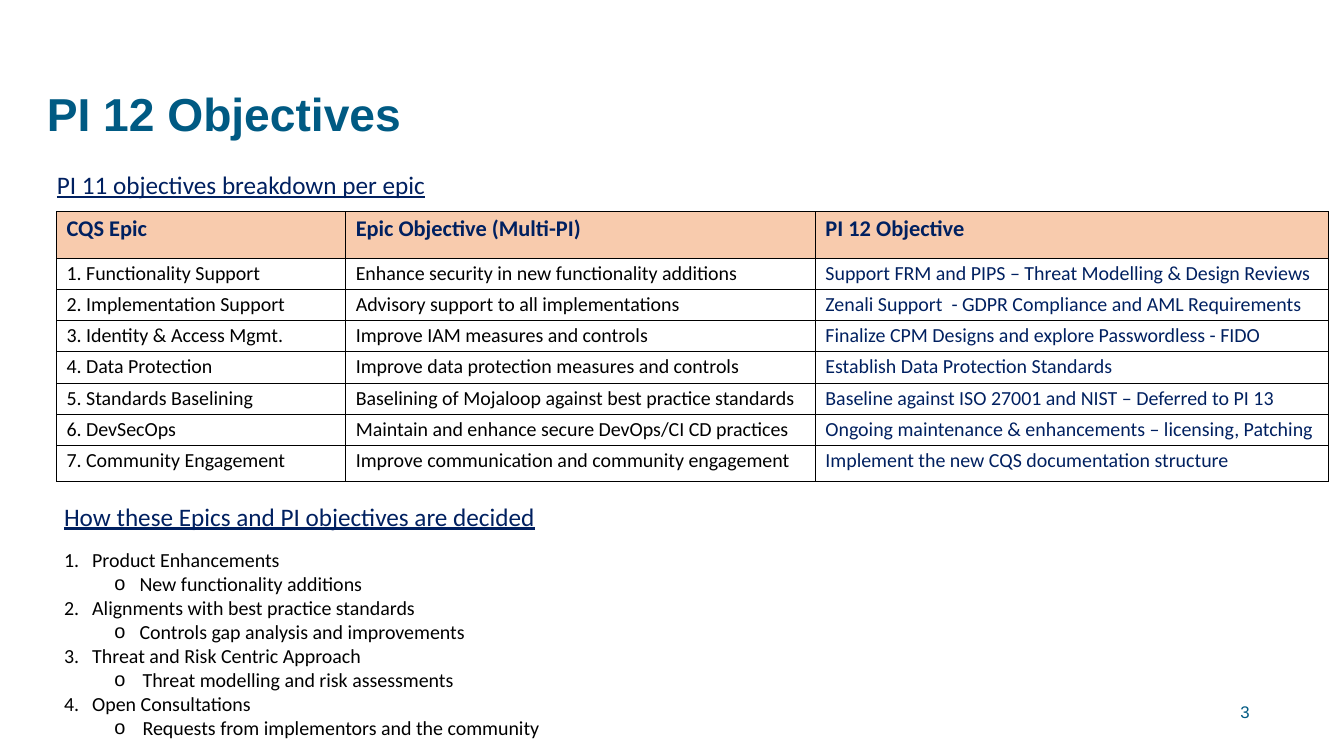
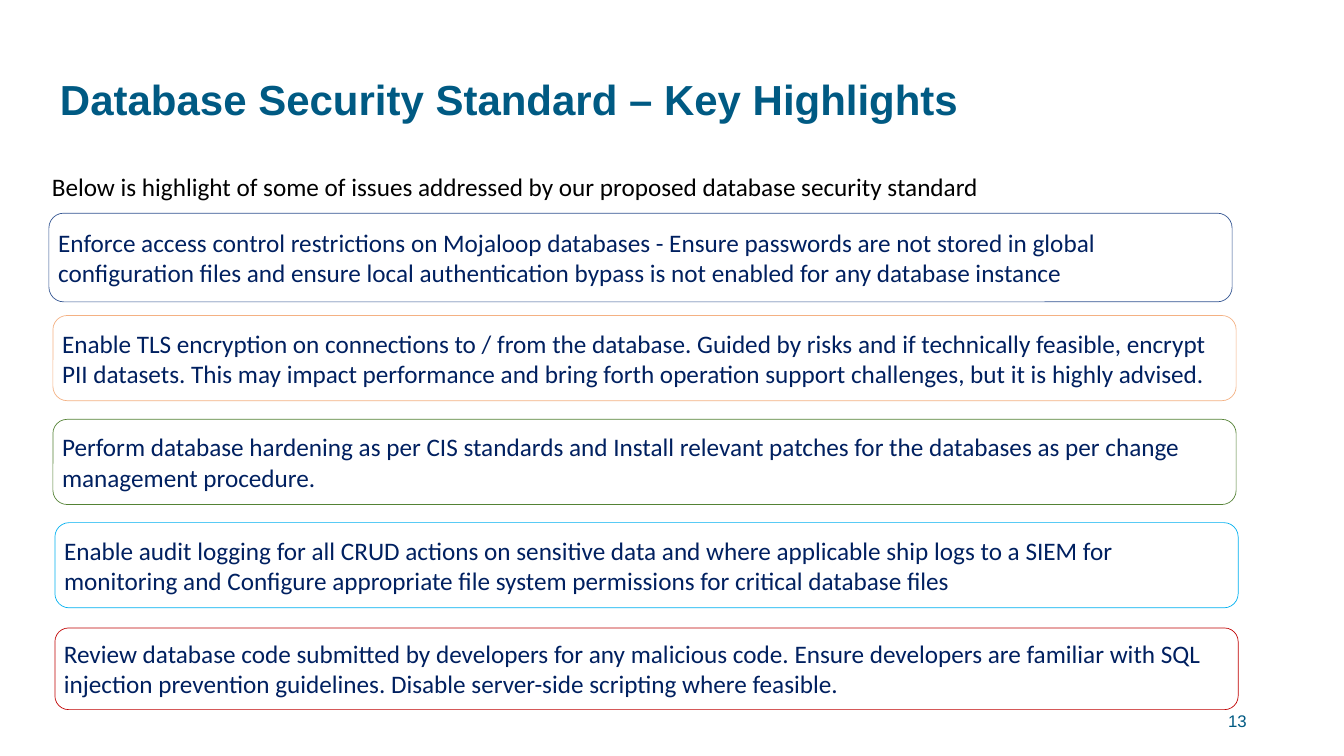
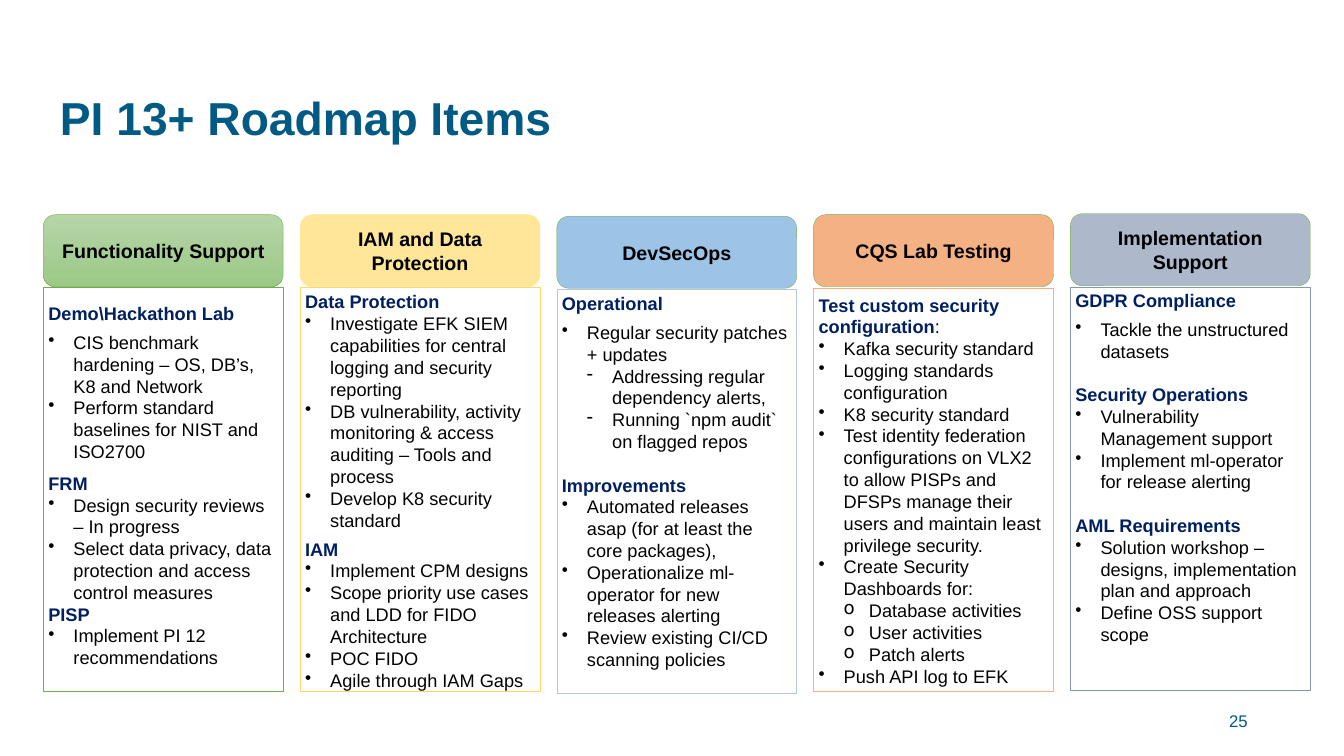
from pptx import Presentation
from pptx.dml.color import RGBColor
from pptx.enum.shapes import MSO_SHAPE as SHAPE
from pptx.enum.text import MSO_ANCHOR as ANCHOR, MSO_AUTO_SIZE as AUTO, PP_ALIGN as ALIGN
from pptx.oxml import parse_xml
from pptx.oxml.ns import nsdecls
from pptx.oxml.xmlchemy import OxmlElement
from pptx.util import Inches, Pt

COLORS = {
    "title": "005A83", "navy": "002060", "black": "000000", "white": "FFFFFF",
    "peach": "F8CBAD", "orange": "F4B183", "blue": "325491", "olive": "548235",
    "cyan": "00B0F0", "red": "C00000", "green": "70AD47", "green_top": "B5D5A7",
    "green_end": "9CC987", "yellow": "FFE699", "gold": "FFD966", "sky": "9DC3E6",
    "pale_blue": "B4C7E7", "slate": "ADB9CA", "steel": "8497B0",
}
RGB = {name: RGBColor.from_string(value) for name, value in COLORS.items()}

TITLE = {"name": "Arial", "size": Pt(66), "bold": True, "color": "title"}
NUMBER = {"name": "Arial", "size": Pt(24), "color": "title"}
LEAD = {"name": "Calibri", "size": Pt(36), "color": "black"}
POINT = {**LEAD, "color": "navy"}
SUBHEAD = {**POINT, "underline": True}
TABLE_HEAD = {"name": "Calibri", "size": Pt(32), "bold": True, "color": "navy"}
TEXT = {"name": "Calibri", "size": Pt(28.5), "color": "black"}
TABLE_GOAL = {**TEXT, "color": "navy"}
CARD_HEAD = {"name": "Arial", "size": Pt(28), "bold": True, "color": "black"}
CARD_TEXT = {"name": "Arial", "size": Pt(26), "bold": False, "color": "black"}
CARD_LABEL = {**CARD_TEXT, "bold": True, "color": "navy"}


def add_run(p, text, fmt):
    r = p.add_run()
    r.text = text
    for key, value in fmt.items():
        if key == "color":
            r.font.color.rgb = RGB[value]
        else:
            setattr(r.font, key, value)


def add_para(tf, text, fmt, bullet=None, left=0, hang=0, level=0, **para):
    """Append a paragraph; the first one fills the empty paragraph of the frame."""
    p = tf.add_paragraph() if tf.text else tf.paragraphs[0]
    p.level = level
    pPr = p._p.get_or_add_pPr()
    pPr.set("marL", str(Inches(left)))
    pPr.set("indent", str(-Inches(hang)))
    tag, key, value = {None: ("a:buNone", None, None),
                       "1.": ("a:buAutoNum", "type", "arabicPeriod")}.get(
                           bullet, ("a:buChar", "char", bullet))
    bu = OxmlElement(tag)
    if key:
        bu.set(key, value)
    pPr.append(bu)
    for key, value in {"space_before": Pt(0), "alignment": ALIGN.LEFT, **para}.items():
        setattr(p, key, value)
    add_run(p, text, fmt)
    return p


prs = Presentation()
prs.slide_width, prs.slide_height = Inches(26.67), Inches(15)

# Slides with their titles and page numbers
slides = []
for layout, title, size, (left, top, width), number, (num_left, num_top) in [
    (1, "PI 12 Objectives", 66, (0.83, 0.86, 23), "3", (18.9, 13.73)),
    (5, "Database Security Standard – Key Highlights", 60, (1.09, 0.57, 26), "13", (18.84, 13.9)),
    (5, "PI 13+ Roadmap Items", 66, (1.09, 0.95, 23), "25", (18.86, 13.9)),
]:
    s = prs.slides.add_slide(prs.slide_layouts[layout])
    sp = s.shapes.title
    sp.left, sp.top, sp.width, sp.height = map(Inches, (left, top, width, 2.9))
    tf = sp.text_frame
    tf.vertical_anchor, tf.auto_size = ANCHOR.MIDDLE, AUTO.NONE
    add_para(tf, title, {**TITLE, "size": Pt(size)}, line_spacing=0.9)
    tf = s.shapes.add_textbox(*map(Inches, (num_left, num_top, 6, 0.8))).text_frame
    tf.word_wrap, tf.vertical_anchor = True, ANCHOR.MIDDLE
    add_para(tf, number, NUMBER, alignment=ALIGN.RIGHT)
    slides.append(s)
objectives, highlights, roadmap = slides

# Objectives: table of epics
rows = [
    ("CQS Epic", "Epic Objective (Multi-PI)", "PI 12 Objective"),
    ("1. Functionality Support", "Enhance security in new functionality additions",
     "Support FRM and PIPS – Threat Modelling & Design Reviews"),
    ("2. Implementation Support", "Advisory support to all implementations",
     "Zenali Support  - GDPR Compliance and AML Requirements"),
    ("3. Identity & Access Mgmt.", "Improve IAM measures and controls",
     "Finalize CPM Designs and explore Passwordless - FIDO"),
    ("4. Data Protection", "Improve data protection measures and controls",
     "Establish Data Protection Standards"),
    ("5. Standards Baselining", "Baselining of Mojaloop against best practice standards",
     "Baseline against ISO 27001 and NIST – Deferred to PI 13"),
    ("6. DevSecOps", "Maintain and enhance secure DevOps/CI CD practices",
     "Ongoing maintenance & enhancements – licensing, Patching"),
    ("7. Community Engagement", "Improve communication and community engagement",
     "Implement the new CQS documentation structure"),
]
table = objectives.shapes.add_table(
    len(rows), 3, *map(Inches, (1.12, 4.2, 25.24, 5.36))).table
table.first_row = table.horz_banding = False
for column, width in zip(table.columns, (5.74, 9.32, 10.18)):
    column.width = Inches(width)
for i, (row, height) in enumerate(zip(table.rows, [0.92] + [0.62] * 6 + [0.71])):
    row.height = Inches(height)
    for j, cell in enumerate(row.cells):
        cell.margin_left = cell.margin_right = Inches(0.2)
        cell.margin_top, cell.margin_bottom = Inches(0.03), 0
        if i == 0:
            cell.fill.solid()
            cell.fill.fore_color.rgb = RGB["peach"]
        else:
            cell.fill.background()
        for n, side in enumerate(("lnL", "lnR", "lnT", "lnB")):
            cell._tc.tcPr.insert(n, parse_xml(
                f'<a:{side} {nsdecls("a")} w="12700"><a:solidFill>'
                f'<a:srgbClr val="{COLORS["black"]}"/></a:solidFill></a:{side}>'))
        fmt = TABLE_HEAD if i == 0 else TABLE_GOAL if j == 2 else TEXT
        add_para(cell.text_frame, rows[i][j], fmt, line_spacing=1.07, space_after=Pt(8))

# Objectives: subheading above the table
tf = objectives.shapes.add_textbox(*map(Inches, (1.03, 3.31, 10.66, 0.71))).text_frame
tf.word_wrap = True
add_para(tf, "PI 11 objectives breakdown per epic", SUBHEAD)

# Objectives: how they are decided
sp = objectives.placeholders[1]
sp.left, sp.top, sp.width, sp.height = map(Inches, (1.17, 9.89, 21.45, 5.35))
tf = sp.text_frame
tf.auto_size = AUTO.NONE
add_para(tf, "How these Epics and PI objectives are decided", SUBHEAD, space_after=Pt(24))
for source, example, left, hang in [
    ("Product Enhancements", "New functionality additions", 1.5, 0.5),
    ("Alignments with best practice standards", "Controls gap analysis and improvements", 1.5, 0.5),
    ("Threat and Risk Centric Approach", "Threat modelling and risk assessments", 1.56, 0.56),
    ("Open Consultations", "Requests from implementors and the community", 1.56, 0.56),
]:
    add_para(tf, source, TEXT, "1.", 0.56, 0.56)
    add_para(tf, example, TEXT, "o", left, hang, level=2)

# Highlights: lead sentence and outlined boxes
tf = highlights.shapes.add_textbox(*map(Inches, (0.93, 3.34, 20.05, 0.71))).text_frame
tf.word_wrap = True
add_para(tf, "Below is highlight of some of issues addressed by our proposed database "
         "security standard", LEAD)
for left, top, height, color, text in [
    (0.97, 4.23, 1.76, "blue",
     "Enforce access control restrictions on Mojaloop databases - Ensure passwords are not "
     "stored in global configuration files and ensure local authentication bypass is not "
     "enabled for any database instance"),
    (1.05, 6.26, 1.69, "orange",
     "Enable TLS encryption on connections to / from the database. Guided by risks and if "
     "technically feasible, encrypt PII datasets. This may impact performance and bring forth "
     "operation support challenges, but it is highly advised."),
    (1.05, 8.32, 1.69, "olive",
     "Perform database hardening as per CIS standards and Install relevant patches for the "
     "databases as per change management procedure."),
    (1.09, 10.37, 1.69, "cyan",
     "Enable audit logging for all CRUD actions on sensitive data and where applicable ship "
     "logs to a SIEM for monitoring and Configure appropriate file system permissions for "
     "critical database files"),
    (1.09, 12.46, 1.62, "red",
     "Review database code submitted by developers for any malicious code. Ensure developers "
     "are familiar with SQL injection prevention guidelines. Disable server-side scripting "
     "where feasible."),
]:
    sp = highlights.shapes.add_shape(
        SHAPE.ROUNDED_RECTANGLE, *map(Inches, (left, top, 23.48, height)))
    sp.shadow.inherit = False
    sp.fill.solid()
    sp.fill.fore_color.rgb = RGB["white"]
    sp.line.color.rgb, sp.line.width = RGB[color], Pt(1)
    sp.text_frame.vertical_anchor = ANCHOR.MIDDLE
    add_para(sp.text_frame, text, POINT)

# Roadmap: one card per stream; items are (bullet or None for a label, text, space before)
cards = [
    ("Functionality Support", 4.26, "green_top", "green", "green", 1.5, 0.29, [
        (None, "Demo\\Hackathon Lab", 0),
        ("•", "CIS benchmark hardening – OS, DB’s, K8 and Network", 10),
        ("•", "Perform standard baselines for NIST and ISO2700", 0),
        (None, "FRM", 14),
        ("•", "Design security reviews – In progress", 0),
        ("•", "Select data privacy, data protection and access control measures", 0),
        (None, "PISP", 0),
        ("•", "Implement PI 12 recommendations", 0)]),
    ("IAM and Data Protection", 4.26, "yellow", "yellow", "gold", 1, 0.06, [
        (None, "Data Protection", 0),
        ("•", "Investigate EFK SIEM capabilities for central logging and security reporting", 0),
        ("•", "DB vulnerability, activity monitoring & access auditing – Tools and process", 0),
        ("•", "Develop K8 security standard", 0),
        (None, "IAM", 10),
        ("•", "Implement CPM designs", 0),
        ("•", "Scope priority use cases and LDD for FIDO Architecture", 0),
        ("•", "POC FIDO", 0),
        ("•", "Agile through IAM Gaps", 0)]),
    ("DevSecOps", 4.29, "sky", "green", "pale_blue", 0.5, 0.06, [
        (None, "Operational", 0),
        ("•", "Regular security patches + updates", 10),
        ("-", "Addressing regular dependency alerts,", 0),
        ("-", "Running `npm audit` on flagged repos", 0),
        (None, "Improvements", 31),
        ("•", "Automated releases asap (for at least the core packages),", 0),
        ("•", "Operationalize ml-operator for new releases alerting", 0),
        ("•", "Review existing CI/CD scanning policies", 0)]),
    ("CQS Lab Testing", 4.26, "orange", "green", "orange", 0.5, 0.12, [
        (None, "Test custom security configuration:", 0),
        ("•", "Kafka security standard", 0),
        ("•", "Logging standards configuration", 0),
        ("•", "K8 security standard", 0),
        ("•", "Test identity federation configurations on VLX2 to allow PISPs and DFSPs manage "
         "their users and maintain least privilege security.", 0),
        ("•", "Create Security Dashboards for:", 0),
        ("o", "Database activities", 0),
        ("o", "User activities", 0),
        ("o", "Patch alerts", 0),
        ("•", "Push API log to EFK", 0)]),
    ("Implementation Support", 4.24, "slate", "green", "steel", 0.5, 0.05, [
        (None, "GDPR Compliance", 0),
        ("•", "Tackle the unstructured datasets", 10),
        (None, "Security Operations", 31),
        ("•", "Vulnerability Management support", 0),
        ("•", "Implement ml-operator for release alerting", 0),
        (None, "AML Requirements", 31),
        ("•", "Solution workshop – designs, implementation plan and approach", 0),
        ("•", "Define OSS support scope", 0)]),
]
for i, (name, top, fill, edge, frame, weight, inset, items) in enumerate(cards):
    left = 0.86 + 5.095 * i
    head = roadmap.shapes.add_shape(
        SHAPE.ROUNDED_RECTANGLE, *map(Inches, (left, top, 4.76, 1.43)))
    body = roadmap.shapes.add_shape(
        SHAPE.RECTANGLE, *map(Inches, (left, top + 1.45, 4.76, 8.01)))
    for sp, color, line, width in ((head, fill, edge, 0.5), (body, "white", frame, weight)):
        sp.shadow.inherit = False
        sp.fill.solid()
        sp.fill.fore_color.rgb = RGB[color]
        sp.line.color.rgb, sp.line.width = RGB[line], Pt(width)
    if fill == "green_top":
        head.fill.gradient()
        head.fill.gradient_angle = 270
        for stop, color in zip(head.fill.gradient_stops, ("green_top", "green_end")):
            stop.color.rgb = RGB[color]
    head.text_frame.vertical_anchor = ANCHOR.MIDDLE
    add_para(head.text_frame, name, CARD_HEAD, alignment=ALIGN.CENTER)

    tf = body.text_frame
    tf.vertical_anchor, tf.margin_top = ANCHOR.TOP, Inches(inset)
    for bullet, text, gap in items:
        if bullet:
            level = 0 if bullet == "•" else 1
            add_para(tf, text, CARD_TEXT, bullet, 0.5 + 0.5 * level, 0.5, level,
                     space_before=Pt(gap))
        else:
            label, colon, _ = text.partition(":")
            p = add_para(tf, label, CARD_LABEL, space_before=Pt(gap))
            if colon:
                add_run(p, colon, CARD_TEXT)

prs.save("out.pptx")
